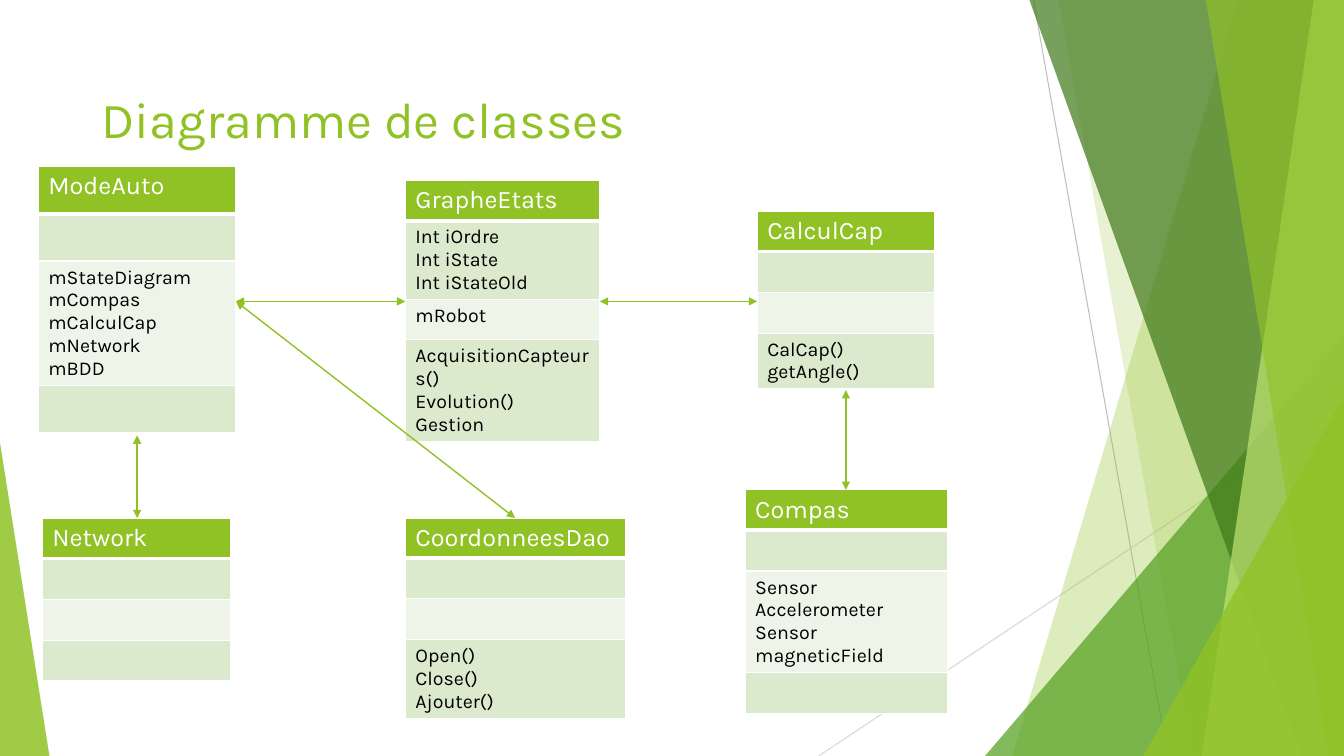
from dataclasses import dataclass

from lxml import etree
from pptx import Presentation
from pptx.dml.color import RGBColor
from pptx.enum.shapes import MSO_CONNECTOR, MSO_SHAPE
from pptx.enum.text import MSO_ANCHOR
from pptx.oxml.ns import qn
from pptx.util import Inches, Pt

STRAIGHT = MSO_CONNECTOR.STRAIGHT
TRIANGLE = MSO_SHAPE.ISOSCELES_TRIANGLE
TOP = MSO_ANCHOR.TOP

W, H = 13.33, 7.5
COLORS = {
    "lime": "90C226", "green": "54A021", "forest": "3F7819", "pale": "C0E474",
    "band": "DBE9CD", "light": "EEF4E8", "white": "FFFFFF", "black": "000000",
    "grey": "BFBFBF", "silver": "D9D9D9",
}
ROW_FILLS = ["lime", "band", "light", "band"]


def rgb(name: str) -> RGBColor:
    return RGBColor.from_string(COLORS[name])


TITLE_FONT = {"name": "Karla", "size": Pt(36)}
HEADER_FONT = {"name": "Karla", "size": Pt(18)}
BODY_FONT = {"name": "Karla", "size": Pt(14)}


@dataclass
class Line:
    start: tuple[float, float]
    end: tuple[float, float]
    color: str = "lime"
    width: float = 1
    arrows: bool = True


@dataclass
class Band:
    """Strip reaching the right edge, bounded by a slanted left side."""
    top_x: float
    bottom_x: float
    color: str
    alpha: int


@dataclass
class Corner:
    """Right-angled triangle standing on the bottom edge."""
    left: float
    top: float
    width: float
    apex: float
    color: str
    alpha: int


@dataclass
class ClassBox:
    left: float
    top: float
    width: float
    height: float
    rows: list[float]
    texts: list[str]


BACK_LINES = [
    Line((10.25, 0), (11.58, H), "grey", 0.75, False),
    Line((W, 4.03), (8.12, H), "silver", 0.75, False),
]
DECOR = [
    Band(12.28, 10.04, "lime", 30),
    Band(10.5, 11.83, "lime", 20),
    Corner(9.77, 3.33, 3.56, 1, "green", 72),
    Band(10.21, 12.91, "forest", 70),
    Band(13.03, 11.92, "pale", 70),
    Band(11.96, 13.18, "lime", 65),
    Corner(11.34, 3.93, 1.99, 1, "lime", 80),
    Corner(0, 4.39, 0.49, 0, "lime", 85),
]
CLASSES = [
    ClassBox(0.38, 1.65, 1.96, 2.67, [0.47, 0.47, 1.04, 0.47],
             ["ModeAuto", "", "mStateDiagram\nmCompas\nmCalculCap\nmNetwork\nmBDD", ""]),
    ClassBox(4.02, 1.79, 1.93, 2.63, [0.4] * 4,
             ["GrapheEtats", "Int iOrdre\nInt iState\nInt iStateOld", "mRobot",
              "AcquisitionCapteurs()\nEvolution()\nGestion"]),
    ClassBox(7.51, 2.1, 1.76, 1.77, [0, 0.4, 0.4, 0.4],
             ["CalculCap", "", "", "CalCap()\ngetAngle()"]),
    ClassBox(7.39, 4.86, 2.01, 2.25, [0.4, 0.4, 0.81, 0.4],
             ["Compas", "", "Sensor Accelerometer\nSensor magneticField", ""]),
    ClassBox(0.42, 5.14, 1.87, 1.6, [0.4] * 4, ["Network", "", "", ""]),
    ClassBox(4.02, 5.14, 2.18, 2, [0.3, 0.4, 0.4, 0.4],
             ["CoordonneesDao", "", "", "Open()\nClose()\nAjouter()"]),
]
RELATIONS = [
    Line((1.36, 4.32), (1.36, 5.14)),
    Line((2.34, 2.99), (4.02, 2.99)),
    Line((5.95, 2.99), (7.51, 2.99)),
    Line((8.39, 3.87), (8.39, 4.86)),
    Line((2.34, 2.99), (5.11, 5.14)),
]


def format_text(tf, values: dict, color: str) -> None:
    for p in tf.paragraphs:
        for r in p.runs:
            for key, value in values.items():
                setattr(r.font, key, value)
            r.font.color.rgb = rgb(color)


def add_line(shapes, line: Line) -> None:
    ends = [Inches(v) for v in (*line.start, *line.end)]
    c = shapes.add_connector(STRAIGHT, *ends)
    c.line.color.rgb = rgb(line.color)
    c.line.width = Pt(line.width)
    etree.SubElement(c._element.spPr, qn("a:effectLst"))
    if line.arrows:
        for tag in ("a:headEnd", "a:tailEnd"):
            etree.SubElement(c.line._get_or_add_ln(), qn(tag), type="triangle")


def add_decor(shapes, d: Band | Corner) -> None:
    if isinstance(d, Band):
        points = [(d.top_x, 0), (W, 0), (W, H), (d.bottom_x, H)]
        points = [(Inches(x), Inches(y)) for x, y in points]
        builder = shapes.build_freeform(*points[0])
        builder.add_line_segments(points[1:], close=True)
        s = builder.convert_to_shape()
    else:
        box = (d.left, d.top, d.width, H - d.top)
        s = shapes.add_shape(TRIANGLE, *map(Inches, box))
        s.adjustments[0] = d.apex
    s.shadow.inherit = False
    s.line.fill.background()
    s.fill.solid()
    s.fill.fore_color.rgb = rgb(d.color)
    clr = s._element.spPr.find(qn("a:solidFill")).find(qn("a:srgbClr"))
    etree.SubElement(clr, qn("a:alpha"), val=str(d.alpha * 1000))


def add_borders(cell, bottom: float) -> None:
    tc_pr = cell._tc.get_or_add_tcPr()
    widths = {"lnL": 1, "lnR": 1, "lnT": 1, "lnB": bottom}
    for i, (side, width) in enumerate(widths.items()):
        ln = etree.Element(qn(f"a:{side}"), w=str(Pt(width)))
        fill = etree.SubElement(ln, qn("a:solidFill"))
        etree.SubElement(fill, qn("a:srgbClr"), val=COLORS["white"])
        tc_pr.insert(i, ln)


def add_class(shapes, box: ClassBox) -> None:
    place = (box.left, box.top, box.width, box.height)
    frame = shapes.add_table(len(box.rows), 1, *map(Inches, place))
    table = frame.table
    table.first_row = table.horz_banding = False
    for i, (height, text) in enumerate(zip(box.rows, box.texts)):
        header = i == 0
        table.rows[i].height = Inches(height)
        cell = table.cell(i, 0)
        cell.fill.solid()
        cell.fill.fore_color.rgb = rgb(ROW_FILLS[i])
        add_borders(cell, 3 if header else 1)
        if text:
            cell.text = text
            format_text(cell.text_frame, HEADER_FONT if header else BODY_FONT,
                        "white" if header else "black")
    frame.height = Inches(box.height)


def main() -> None:
    prs = Presentation()
    prs.slide_width, prs.slide_height = Inches(W), Inches(H)
    shapes = prs.slides.add_slide(prs.slide_layouts[6]).shapes

    # Background decoration
    for line in BACK_LINES:
        add_line(shapes, line)
    for d in DECOR:
        add_decor(shapes, d)

    # Class diagram
    for box in CLASSES:
        add_class(shapes, box)
    for line in RELATIONS:
        add_line(shapes, line)

    # Title
    tf = shapes.add_textbox(*map(Inches, (0.91, 0.83, 9.4, 1.44))).text_frame
    tf.word_wrap = True
    tf.vertical_anchor = TOP
    tf.text = "Diagramme de classes"
    format_text(tf, TITLE_FONT, "lime")

    prs.save("out.pptx")


if __name__ == "__main__":
    main()
